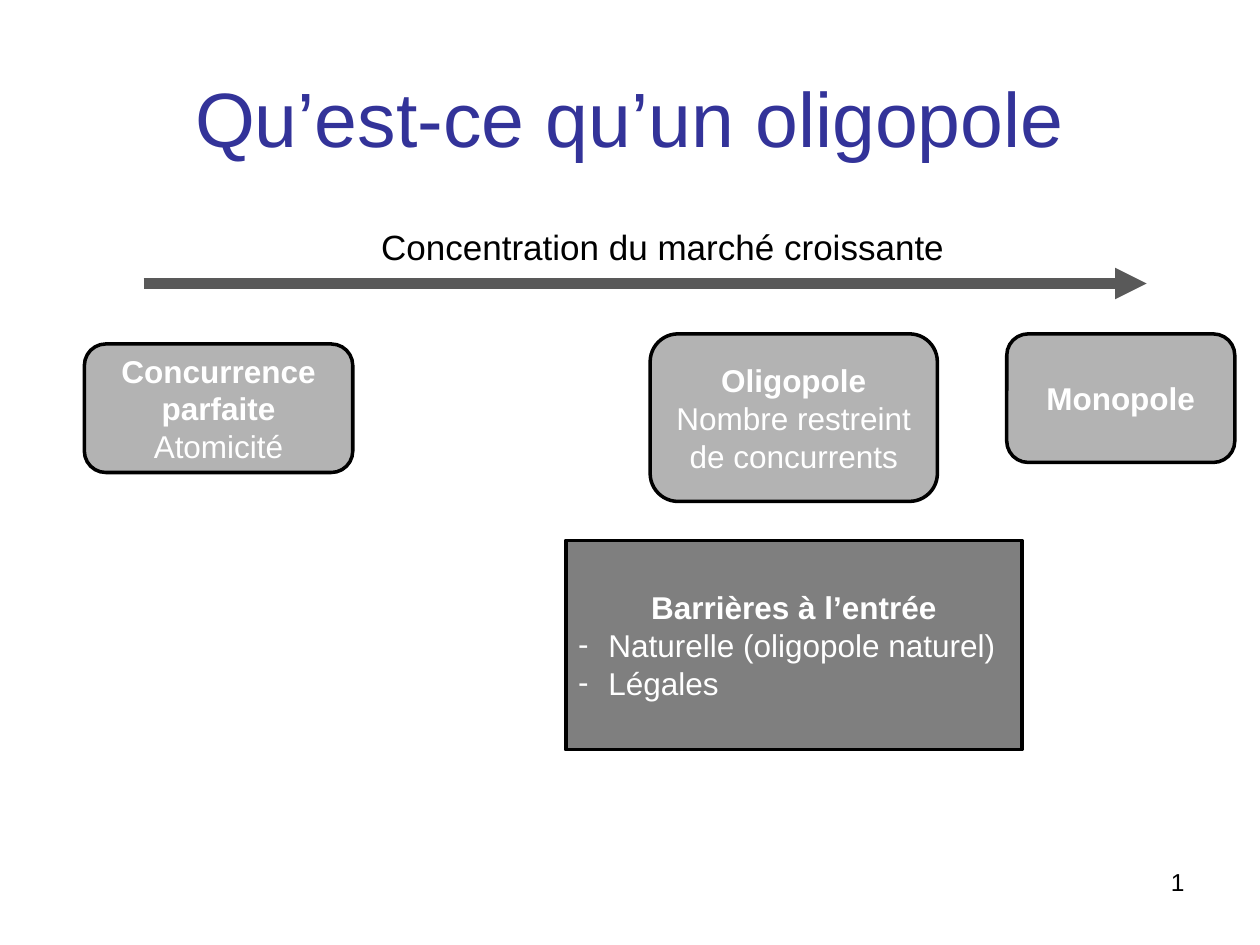
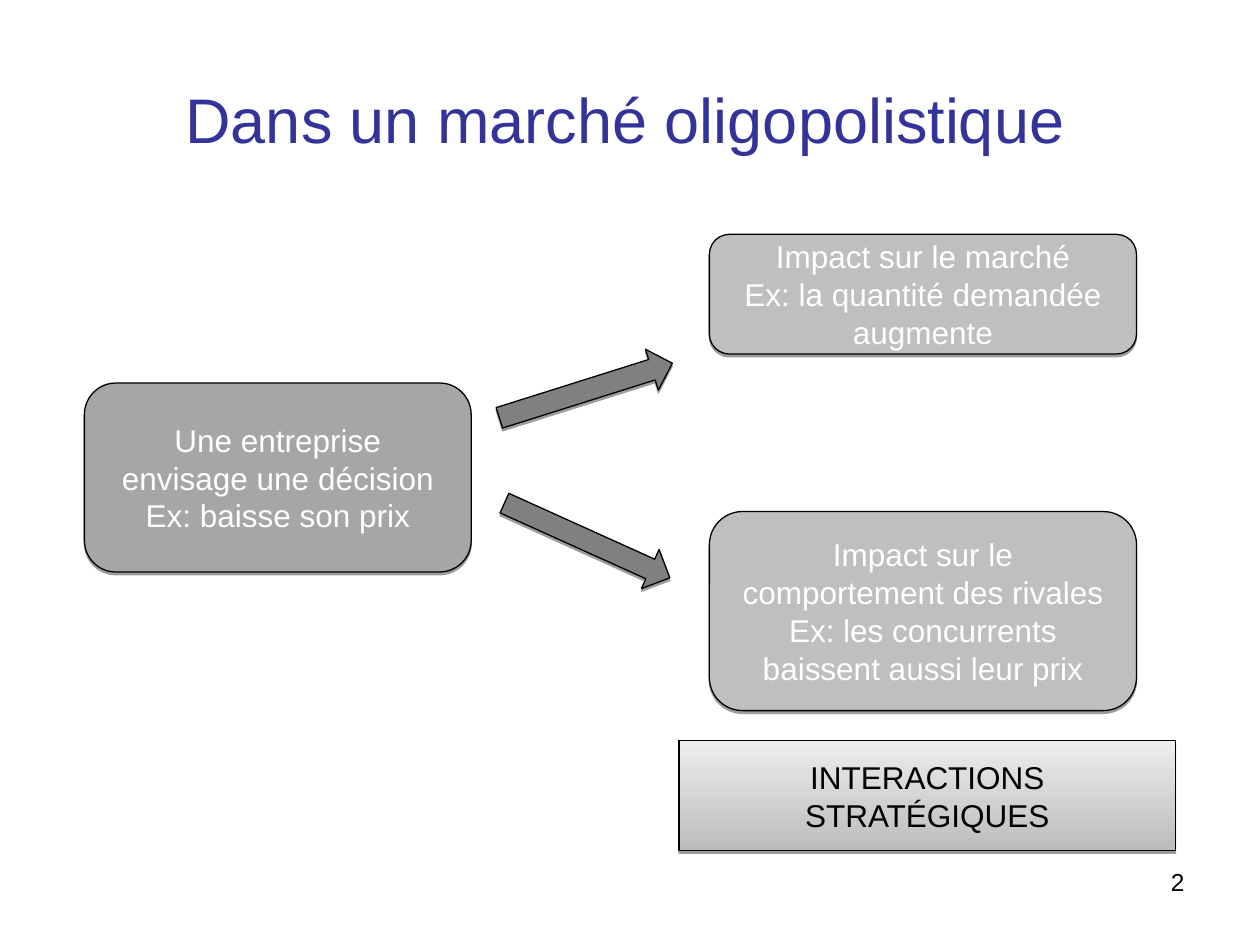
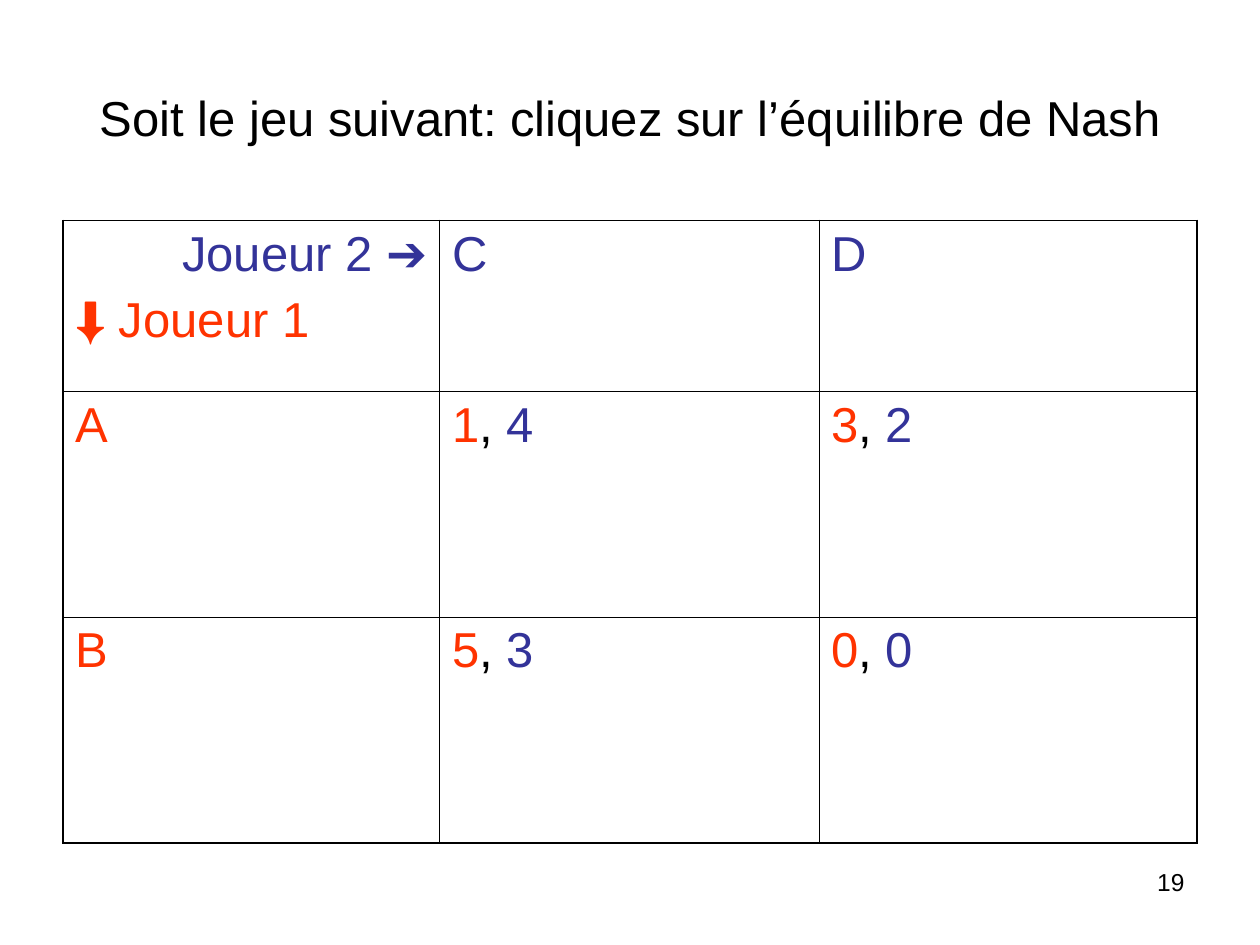
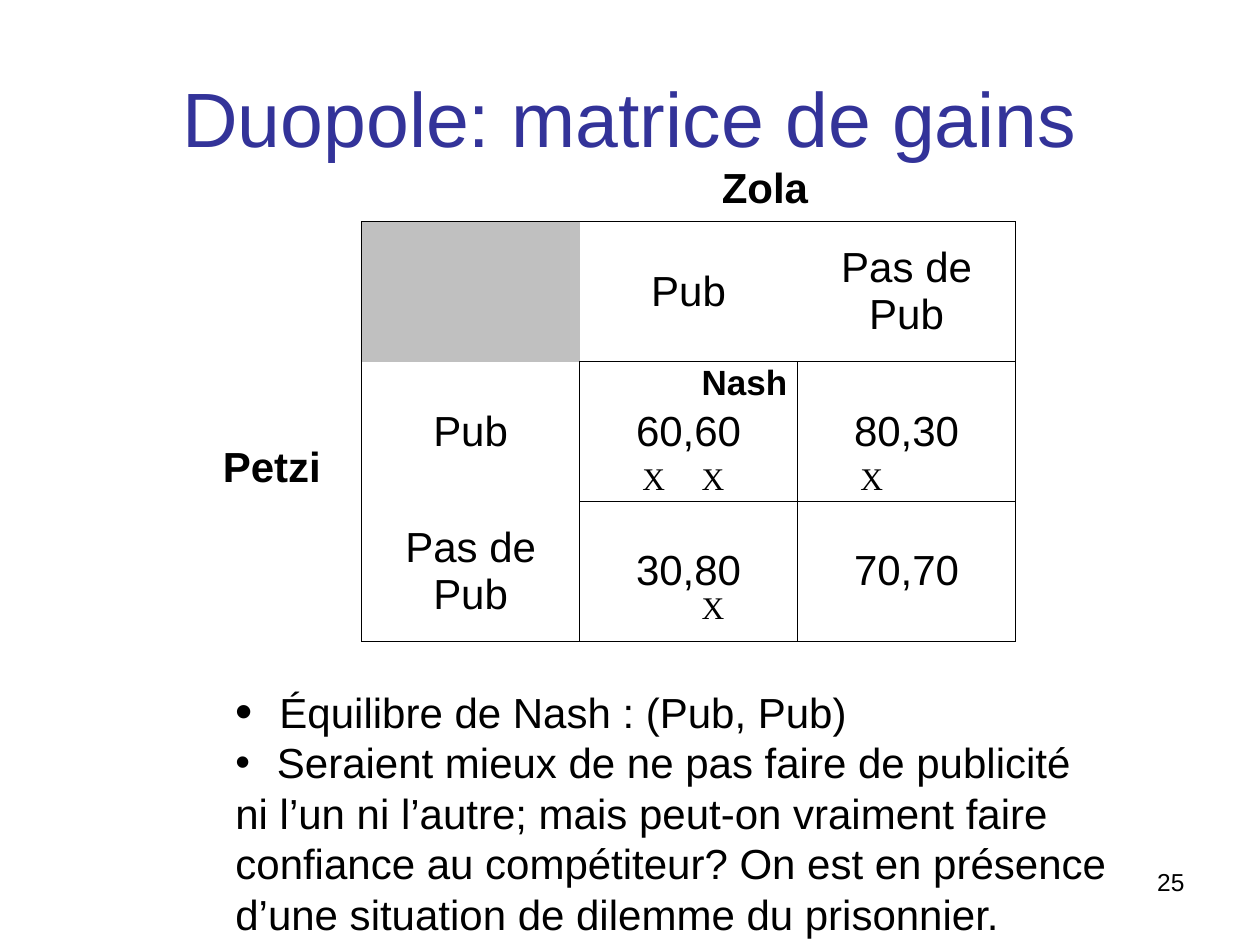
from dataclasses import dataclass, field

import pptx
import pptx.dml.color
import pptx.enum.dml
import pptx.enum.shapes
import pptx.enum.text
import pptx.oxml
import pptx.oxml.ns
import pptx.util

Inches = pptx.util.Inches
Pt = pptx.util.Pt
Align = pptx.enum.text.PP_ALIGN
Anchor = pptx.enum.text.MSO_ANCHOR
Shape = pptx.enum.shapes.MSO_SHAPE
qn = pptx.oxml.ns.qn


@dataclass(frozen=True)
class Theme:
    font: str = "Arial"
    mark_font: str = "Times New Roman"
    black: str = "000000"
    white: str = "FFFFFF"
    blue: str = "333399"
    red: str = "FF3300"
    arrow_line: str = "595959"
    market_fill: str = "B3B3B3"
    barrier_fill: str = "7F7F7F"
    decision_fill: str = "A6A6A6"
    impact_fill: str = "BFBFBF"
    arrow_fill: str = "808080"
    corner_fill: str = "C0C0C0"
    gradient: tuple = ("BCBCBC", "EDEDED")
    title_size: int = 44
    subtitle_size: int = 36
    game_size: int = 28
    matrix_size: int = 24
    label_size: int = 20
    body_size: int = 18
    number_size: int = 14
    thin: float = 0.45
    thick: float = 1.08


THEME = Theme()


@dataclass
class Line:
    """One paragraph: runs are (text, font values) pairs."""
    runs: list
    bullet: str = ""
    indent: float = 0
    bullet_percent: int = 100
    layout: dict = field(default_factory=dict)


def plain(text, **font):
    return Line([(text, font)])


def rgb(colour):
    return pptx.dml.color.RGBColor.from_string(colour)


def set_values(target, values):
    for name, value in values.items():
        setattr(target, name, value)


def xml_child(parent, tag, **attributes):
    child = parent.makeelement(qn(tag), attributes)
    parent.append(child)
    return child


def add_bullet(paragraph, line, colour):
    properties = paragraph._p.get_or_add_pPr()
    properties.set("marL", str(Inches(line.indent)))
    properties.set("indent", str(-Inches(line.indent)))
    xml_child(xml_child(properties, "a:buClr"), "a:srgbClr", val=colour)
    xml_child(properties, "a:buSzPct", val=str(line.bullet_percent * 1000))
    xml_child(properties, "a:buFont", typeface=THEME.font)
    xml_child(properties, "a:buChar", char=line.bullet)


def write(frame, lines, size, colour=THEME.black, align=Align.LEFT,
          bold=False, font=THEME.font):
    for index, line in enumerate(lines):
        paragraph = frame.paragraphs[0] if index == 0 else frame.add_paragraph()
        set_values(paragraph, {"alignment": align} | line.layout)
        if line.bullet:
            add_bullet(paragraph, line, colour)
        for text, changes in line.runs:
            run = paragraph.add_run()
            run.text = text
            values = {"size": Pt(size), "name": font, "bold": bold} | changes
            run.font.color.rgb = rgb(values.pop("colour", colour))
            set_values(run.font, values)


def add_text(slide, place, lines, size, anchor=Anchor.TOP, wrap=True, **style):
    frame = slide.shapes.add_textbox(*map(Inches, place)).text_frame
    fit = pptx.enum.text.MSO_AUTO_SIZE
    set_values(frame, {
        "word_wrap": wrap,
        "vertical_anchor": anchor,
        "auto_size": fit.NONE if wrap else fit.SHAPE_TO_FIT_TEXT,
    })
    write(frame, lines, size, **style)


def add_label(slide, place, text, size=THEME.matrix_size, **style):
    add_text(slide, place, [plain(text)], size, wrap=False, **style)


def add_title(slide, text, size=THEME.title_size, colour=THEME.blue):
    add_text(slide, (0.5, 0.3, 9, 1.25), [plain(text)], size,
             anchor=Anchor.MIDDLE, colour=colour, align=Align.CENTER)


def add_slide(presentation, number):
    slide = presentation.slides.add_slide(presentation.slide_layouts[6])
    add_text(slide, (7.17, 6.83, 2.33, 0.52), [plain(str(number))],
             THEME.number_size, align=Align.RIGHT)
    return slide


def add_drop_shadow(shape):
    shadow = xml_child(shape._element.spPr.find(qn("a:effectLst")), "a:outerShdw",
                       blurRad="0", dist=str(Pt(1.6)), dir="5400000", rotWithShape="0")
    colour = xml_child(shadow, "a:srgbClr", val=THEME.black)
    xml_child(colour, "a:alpha", val="38000")


def add_box(slide, place, fill, lines=(), kind=Shape.ROUNDED_RECTANGLE,
            outline=THEME.black, width=2, raised=False, rotation=0,
            size=THEME.body_size, colour=THEME.white):
    """Outlined shape with centred text; a pair of colours gives a gradient."""
    shape = slide.shapes.add_shape(kind, *map(Inches, place))
    shape.rotation = rotation
    shape.shadow.inherit = False
    if isinstance(fill, tuple):
        shape.fill.gradient()
        shape.fill.gradient_angle = 90
        for stop, stop_colour in zip(shape.fill.gradient_stops, fill):
            stop.color.rgb = rgb(stop_colour)
    else:
        shape.fill.solid()
        shape.fill.fore_color.rgb = rgb(fill)
    shape.line.color.rgb = rgb(outline)
    shape.line.width = Pt(width)
    if raised:
        add_drop_shadow(shape)
    set_values(shape.text_frame, {"word_wrap": True, "vertical_anchor": Anchor.MIDDLE})
    write(shape.text_frame, lines, size, colour, Align.CENTER)


def add_raised_box(slide, place, fill, lines=(), **style):
    add_box(slide, place, fill, lines, width=0.75, raised=True, **style)


def add_arrow(slide, start, end):
    arrow = slide.shapes.add_connector(
        pptx.enum.shapes.MSO_CONNECTOR.STRAIGHT, *map(Inches, start + end))
    arrow.line.color.rgb = rgb(THEME.arrow_line)
    arrow.line.width = Pt(6)
    xml_child(arrow.line._get_or_add_ln(), "a:tailEnd", type="triangle")
    xml_child(arrow._element.spPr, "a:effectLst")


def set_borders(cell, widths):
    """Draw the sides named in widths (L, R, T, B) and clear the others."""
    properties = cell._tc.get_or_add_tcPr()
    for side in "LRTB":
        width = widths.get(side, 0)
        line = xml_child(properties, f"a:ln{side}", w=str(Pt(width)))
        if width:
            xml_child(xml_child(line, "a:solidFill"), "a:srgbClr", val=THEME.black)
        else:
            xml_child(line, "a:noFill")


def add_table(slide, place, columns, rows, contents, borders, size,
              anchor=Anchor.TOP, fills=None, **style):
    """Borders is a function of row and column that gives the side widths."""
    table = slide.shapes.add_table(len(rows), len(columns), *map(Inches, place)).table
    set_values(table, {"first_row": False, "horz_banding": False})
    for column, width in zip(table.columns, columns):
        column.width = Inches(width)
    for row, height in zip(table.rows, rows):
        row.height = Inches(height)
    for row, row_contents in enumerate(contents):
        for column, lines in enumerate(row_contents):
            cell = table.cell(row, column)
            set_borders(cell, borders(row, column))
            fill = (fills or {}).get((row, column))
            if fill:
                cell.fill.solid()
                cell.fill.fore_color.rgb = rgb(fill)
            else:
                cell.fill.background()
            cell.vertical_anchor = anchor
            write(cell.text_frame, lines, size, **style)


def framed_borders(row, column):
    """Thick frame and thin inner lines of a three by three grid."""
    outer = {"L": column == 0, "R": column == 2, "T": row == 0, "B": row == 2}
    return {side: THEME.thick if edge else THEME.thin for side, edge in outer.items()}


def matrix_borders(row, column):
    """Full lines around payoffs; headings keep only the frame and payoff edges."""
    payoff_cell = row > 0 and column > 0
    drawn = {
        "L": payoff_cell or column == 0,
        "R": row > 0 or column == 2,
        "T": payoff_cell or row == 0,
        "B": column > 0 or row == 2,
    }
    return {side: THEME.thin for side, shown in drawn.items() if shown}


def payoff(first, second):
    return [Line([(first, {"colour": THEME.red}), (", ", {}),
                  (second, {"colour": THEME.blue})])]


def build_oligopoly_slide(presentation):
    slide = add_slide(presentation, 1)
    add_title(slide, "Qu’est-ce qu’un oligopole")
    add_arrow(slide, (1.14, 2.25), (9.1, 2.25))
    add_box(slide, (2.8, 1.72, 4.92, 0.47), THEME.white,
            [plain("Concentration du marché croissante")],
            outline=THEME.white, size=THEME.label_size, colour=THEME.black)
    markets = [
        ((0.67, 2.73, 2.13, 1.02), "Concurrence parfaite", ["Atomicité"]),
        ((7.99, 2.65, 1.81, 1.02), "Monopole", []),
        ((5.16, 2.65, 2.28, 1.33), "Oligopole", ["Nombre restreint de concurrents"]),
    ]
    for place, name, details in markets:
        add_box(slide, place, THEME.market_fill,
                [plain(name, bold=True)] + [plain(detail) for detail in details])
    barriers = [Line([(text, {})], bullet="-", indent=0.24,
                     layout={"alignment": Align.LEFT})
                for text in ("Naturelle (oligopole naturel)", "Légales")]
    add_box(slide, (4.49, 4.29, 3.62, 1.66), THEME.barrier_fill,
            [plain("Barrières à l’entrée", bold=True)] + barriers, Shape.RECTANGLE)


def build_interactions_slide(presentation):
    slide = add_slide(presentation, 2)
    add_box(slide, (1.22, 0.54, 7.48, 0.79), THEME.white,
            [plain("Dans un marché oligopolistique")], Shape.RECTANGLE,
            outline=THEME.white, size=THEME.subtitle_size, colour=THEME.blue)
    steps = [
        ((0.67, 3.04, 3.07, 1.5), THEME.decision_fill,
         ["Une entreprise", "envisage une décision", "Ex: baisse son prix"]),
        ((5.63, 1.86, 3.39, 0.95), THEME.impact_fill,
         ["Impact sur le marché", "Ex: la quantité demandée augmente"]),
        ((5.63, 4.06, 3.39, 1.58), THEME.impact_fill,
         ["Impact sur le comportement des rivales",
          "Ex: les concurrents baissent aussi leur prix"]),
    ]
    for place, fill, texts in steps:
        add_raised_box(slide, place, fill, [plain(text) for text in texts])
    for left, top, rotation in ((3.93, 2.93, 342.5), (3.94, 4.12, 24.3)):
        add_raised_box(slide, (left, top, 1.44, 0.34), THEME.arrow_fill,
                       kind=Shape.RIGHT_ARROW, rotation=rotation)
    add_raised_box(slide, (5.39, 5.88, 3.94, 0.87), THEME.gradient,
                   [plain("INTERACTIONS STRATÉGIQUES")],
                   kind=Shape.RECTANGLE, colour=THEME.black)


def build_game_slide(presentation):
    slide = add_slide(presentation, 19)
    add_title(slide, "Soit le jeu suivant: cliquez sur l’équilibre de Nash",
              THEME.game_size, THEME.black)
    blue, red = {"colour": THEME.blue}, {"colour": THEME.red}
    players = [
        Line([("Joueur 2 ", blue), ("➔", blue | {"bold": True})],
             layout={"alignment": Align.RIGHT}),
        Line([("⬇", red | {"bold": True}), (" Joueur 1", red)],
             layout={"space_before": Pt(7)}),
    ]
    contents = [
        [players, [plain("C", **blue)], [plain("D", **blue)]],
        [[plain("A", **red)], payoff("1", "4"), payoff("3", "2")],
        [[plain("B", **red)], payoff("5", "3"), payoff("0", "0")],
    ]
    add_table(slide, (0.5, 1.75, 9, 4.95), (2.99, 3.01, 3), (1.36, 1.79, 1.79),
              contents, framed_borders, THEME.game_size)


def build_matrix_slide(presentation):
    slide = add_slide(presentation, 25)
    add_title(slide, "Duopole: matrice de gains")
    texts = [
        ["", "Pub", "Pas de Pub"],
        ["Pub", "60,60", "80,30"],
        ["Pas de Pub", "30,80", "70,70"],
    ]
    contents = [[[plain(text)] if text else [] for text in row] for row in texts]
    add_table(slide, (2.87, 1.76, 5.18, 3.33), [1.73] * 3, [1.11] * 3, contents,
              matrix_borders, THEME.matrix_size, Anchor.MIDDLE,
              {(0, 0): THEME.corner_fill}, align=Align.CENTER)
    conclusions = [
        Line([("Équilibre de Nash : (Pub, Pub)", {})], "•", 0.35, 117),
        Line([("Seraient mieux de ne pas faire de publicité", {})], "•", 0.33),
        plain("ni l’un ni l’autre; mais peut-on vraiment faire"),
        plain("confiance au compétiteur? On est en présence"),
        plain("d’une situation de dilemme du prisonnier."),
    ]
    add_text(slide, (1.77, 5.4, 7.2, 2.1), conclusions, THEME.matrix_size, wrap=False)
    for left, top, player in ((1.67, 3.45, "Petzi"), (5.63, 1.23, "Zola")):
        add_label(slide, (left, top, 0.98, 0.5), player, bold=True)
    for left, top in ((5, 3.59), (5.47, 3.59), (5.47, 4.62), (6.73, 3.59)):
        add_label(slide, (left, top, 0.38, 0.4), "X", THEME.body_size,
                  font=THEME.mark_font)
    add_label(slide, (5.47, 2.81, 0.9, 0.44), "Nash", THEME.label_size, bold=True)


def main():
    presentation = pptx.Presentation()
    set_values(presentation, {"slide_width": Inches(10), "slide_height": Inches(7.5)})
    build_oligopoly_slide(presentation)
    build_interactions_slide(presentation)
    build_game_slide(presentation)
    build_matrix_slide(presentation)
    presentation.save("out.pptx")


if __name__ == "__main__":
    main()
